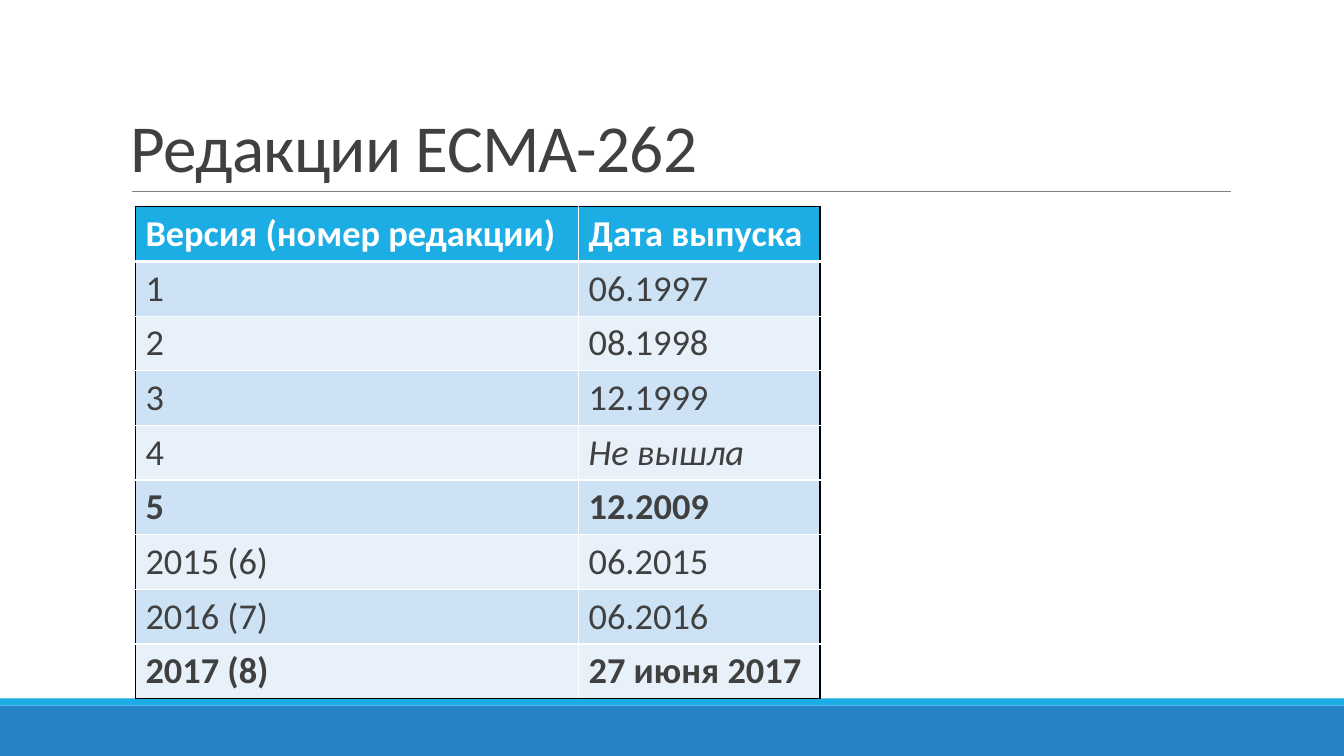
from lxml import etree
from pptx import Presentation, util as u
from pptx.dml.color import RGBColor
from pptx.enum import shapes, text
from pptx.oxml.ns import qn

PX = 9525  # EMU per pixel, 96 px to the inch
WHITE, BLACK, INK = "FFFFFF", "000000", "404040"
SKY, BLUE, GREY = "1CADE4", "2683C6", "808080"
BANDS = ("CDE3F5", "E8F1FA")


def px(*lengths):
    return [u.Emu(length * PX) for length in lengths]


def colour(hex_string):
    return RGBColor.from_string(hex_string)


class Deck:
    font = "Calibri"

    def __init__(self, width, height):
        self.prs = Presentation()
        self.prs.slide_width, self.prs.slide_height = px(width, height)

    def new_slide(self):
        self.slide = self.prs.slides.add_slide(self.prs.slide_layouts[5])

    def style(self, run, size, ink, **flags):
        font_format = {"name": self.font, "size": u.Pt(size), **flags}
        for attribute, value in font_format.items():
            setattr(run.font, attribute, value)
        run.font.color.rgb = colour(ink)

    def bar(self, left, top, width, height, fill):
        strip = self.slide.shapes.add_shape(
            shapes.MSO_SHAPE.RECTANGLE, *px(left, top, width, height))
        strip.shadow.inherit = False
        strip.fill.solid()
        strip.fill.fore_color.rgb = colour(fill)
        strip.line.fill.background()

    def rule(self, x1, y1, x2, y2, ink, weight):
        line = self.slide.shapes.add_connector(
            shapes.MSO_CONNECTOR.STRAIGHT, *px(x1, y1, x2, y2))
        line.line.color.rgb = colour(ink)
        line.line.width = u.Pt(weight)
        etree.SubElement(line._element.spPr, qn("a:effectLst"))

    def title(self, wording, left, top, width, height):
        heading = self.slide.shapes.title
        heading.left, heading.top, heading.width, heading.height = px(left, top, width, height)
        frame_format = {"vertical_anchor": text.MSO_ANCHOR.BOTTOM, "word_wrap": True,
                        "auto_size": text.MSO_AUTO_SIZE.NONE}
        for attribute, value in frame_format.items():
            setattr(heading.text_frame, attribute, value)
        paragraph = heading.text_frame.paragraphs[0]
        paragraph.alignment = text.PP_ALIGN.LEFT
        paragraph.line_spacing = 0.85
        run = paragraph.add_run()
        run.text = wording
        self.style(run, 48, INK)
        run.font._element.set("spc", "-50")

    def borders(self, cell, sides):
        """Sides are (colour, points) in the order left, right, top, bottom."""
        properties = cell._tc.get_or_add_tcPr()
        for index, (side, (ink, weight)) in enumerate(zip("LRTB", sides)):
            edge = etree.Element(qn(f"a:ln{side}"), w=str(u.Pt(weight)))
            fill = etree.SubElement(edge, qn("a:solidFill"))
            etree.SubElement(fill, qn("a:srgbClr"), val=ink)
            properties.insert(index, edge)

    def table(self, rows, left, top, widths, row_height, size):
        """Each row is its cell texts and a format for each cell."""
        last_row, last_column = len(rows) - 1, len(widths) - 1
        grid = self.slide.shapes.add_table(
            len(rows), len(widths),
            *px(left, top, sum(widths), row_height * len(rows))).table
        grid.first_row = grid.horz_banding = False
        for column, width in zip(grid.columns, px(*widths)):
            column.width = width
        for r, (wordings, formats) in enumerate(rows):
            grid.rows[r].height, = px(row_height)
            for c, (wording, flags) in enumerate(zip(wordings, formats)):
                cell = grid.cell(r, c)
                cell.fill.solid()
                cell.fill.fore_color.rgb = colour(BANDS[(r - 1) % 2] if r else SKY)
                run = cell.text_frame.paragraphs[0].add_run()
                run.text = wording
                self.style(run, size, INK if r else WHITE, **flags)
                self.borders(cell, [
                    (BLACK if c == 0 else WHITE, 1),
                    (BLACK if c == last_column else WHITE, 1),
                    (BLACK if r == 0 else WHITE, 1),
                    (BLACK if r == last_row else WHITE, 1 if r else 3)])


PLAIN, BOLD, ITALIC = {"bold": False}, {"bold": True}, {"bold": False, "italic": True}
EDITIONS = [
    (("Версия (номер редакции)", "Дата выпуска"), (BOLD, BOLD)),
    (("1", "06.1997"), (PLAIN, PLAIN)),
    (("2", "08.1998"), (PLAIN, PLAIN)),
    (("3", "12.1999"), (PLAIN, PLAIN)),
    (("4", "Не вышла"), (PLAIN, ITALIC)),
    (("5", "12.2009"), (BOLD, BOLD)),
    (("2015 (6)", "06.2015"), (PLAIN, PLAIN)),
    (("2016 (7)", "06.2016"), (PLAIN, PLAIN)),
    (("2017 (8)", "27 июня 2017"), (BOLD, BOLD)),
]


def main():
    deck = Deck(1280, 720)
    deck.new_slide()

    # Footer bands and the rule under the title
    deck.bar(0, 672, 1280, 48, BLUE)
    deck.bar(0, 665, 1280, 7, SKY)
    deck.rule(126, 182, 1172, 182, GREY, 0.5)

    # Title and table of editions
    deck.title("Редакции ECMA-262", 115, 30, 1056, 152)
    deck.table(EDITIONS, 129, 197, (422, 230), 52, 26)

    deck.prs.save("out.pptx")


if __name__ == "__main__":
    main()
